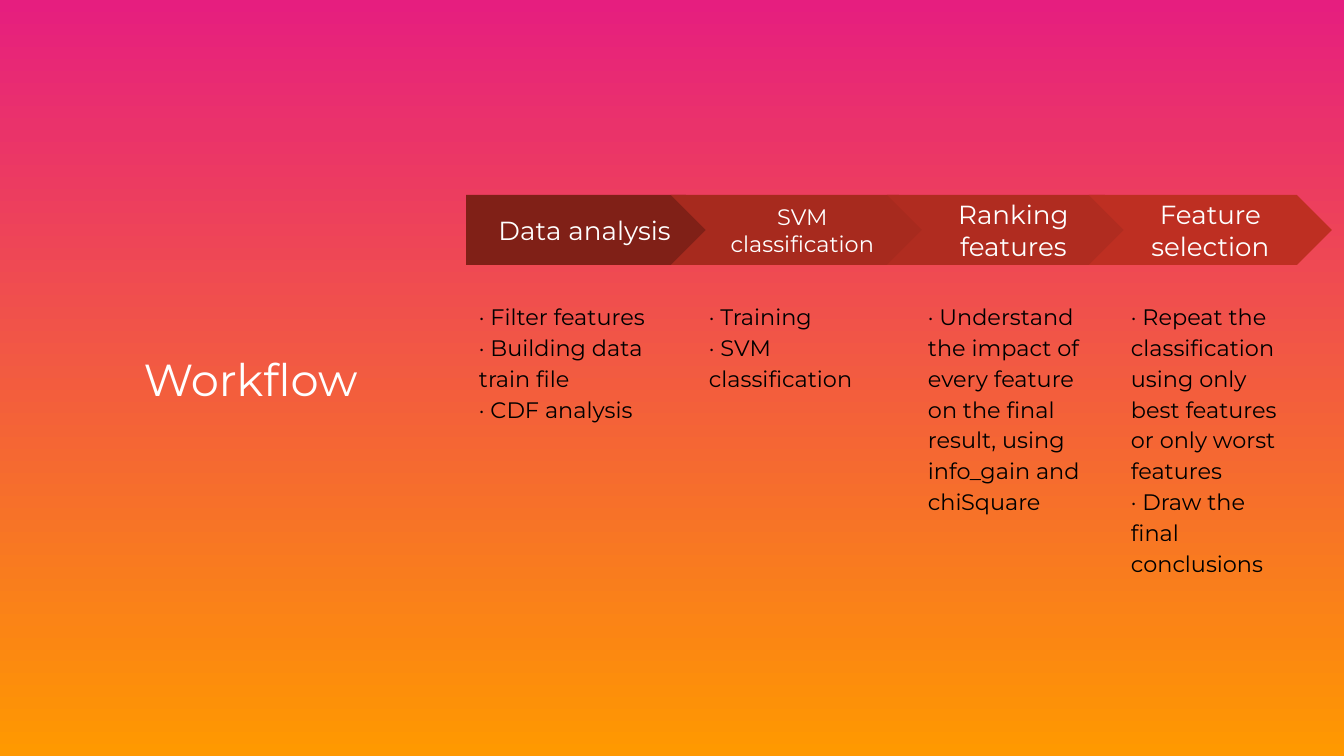
from lxml.etree import SubElement
from pptx import Presentation
from pptx.dml.color import RGBColor
from pptx.enum.shapes import MSO_SHAPE
from pptx.enum.text import MSO_ANCHOR, PP_ALIGN
from pptx.oxml.ns import qn
from pptx.util import Emu, Pt

SCALE = 914400 / 134.4
STEP_TOP, STEP_HEIGHT = 195, 70
NOTES_TOP, NOTES_HEIGHT = 286, 276


def px(length):
    return Emu(round(length * SCALE))


def color(code):
    return RGBColor.from_string(code)


class WorkflowSlide:
    """Draws the workflow elements on one page in a shared style."""

    font = "Montserrat"
    light = "FFFFFF"
    dark = "000000"
    inset = 13

    def __init__(self, deck):
        self.page = deck.slides.add_slide(deck.slide_layouts[6])

    def background(self, top_color, bottom_color):
        fill = self.page.background.fill
        fill.gradient()
        fill.gradient_angle = 270
        for stop, code in zip(fill.gradient_stops, (top_color, bottom_color)):
            stop.color.rgb = color(code)

    def set_text(self, box, text, size, code, align, anchor, inset, spacing=None):
        frame = box.text_frame
        frame.text = text
        frame.word_wrap = True
        frame.vertical_anchor = anchor
        frame.margin_left = frame.margin_right = px(inset)
        frame.margin_top = frame.margin_bottom = px(inset)
        for para in frame.paragraphs:
            para.alignment = align
            para.line_spacing = spacing
            for span in para.runs:
                span.font.size = Pt(size)
                span.font.name = self.font
                span.font.color.rgb = color(code)

    def title(self, text, left, top, width, height):
        box = self.page.shapes.add_textbox(px(left), px(top), px(width), px(height))
        self.set_text(box, text, 24, self.light, PP_ALIGN.CENTER, MSO_ANCHOR.MIDDLE, 0)
        self.text_shadow(box.text_frame.paragraphs[0].runs[0])

    def text_shadow(self, span):
        properties = span.font._element
        effects = SubElement(properties, qn("a:effectLst"))
        properties.find(qn("a:solidFill")).addnext(effects)
        shadow = SubElement(effects, qn("a:outerShdw"), blurRad="38100",
                            dist="19050", dir="5400000")
        shade = SubElement(shadow, qn("a:srgbClr"), val=self.dark)
        SubElement(shade, qn("a:alpha"), val="40000")

    def step(self, kind, text, size, left, width, code):
        arrow = self.page.shapes.add_shape(
            kind, px(left), px(STEP_TOP), px(width), px(STEP_HEIGHT))
        arrow.shadow.inherit = False
        arrow.adjustments[0] = 0.5
        arrow.fill.solid()
        arrow.fill.fore_color.rgb = color(code)
        arrow.line.fill.background()
        self.set_text(arrow, text, size, self.light, PP_ALIGN.CENTER,
                      MSO_ANCHOR.MIDDLE, self.inset)

    def notes(self, items, left, width):
        box = self.page.shapes.add_textbox(
            px(left), px(NOTES_TOP), px(width), px(NOTES_HEIGHT))
        text = "\n".join(f"· {item}" for item in items)
        self.set_text(box, text, 12, self.dark, PP_ALIGN.LEFT, MSO_ANCHOR.TOP,
                      self.inset, 1.15)


STEPS = [
    (MSO_SHAPE.PENTAGON, "Data analysis", 14, 466, 255, "802017", 466, 234,
     ["Filter features", "Building data train file", "CDF analysis"]),
    (MSO_SHAPE.CHEVRON, "SVM classification", 12, 671, 263, "A72A1E", 696, 198,
     ["Training", "SVM classification"]),
    (MSO_SHAPE.CHEVRON, "Ranking features", 14, 887, 253, "B02C20", 915, 190,
     ["Understand the impact of every feature on the final result, "
      "using info_gain and chiSquare"]),
    (MSO_SHAPE.CHEVRON, "Feature selection", 14, 1089, 243, "BE2F22", 1118, 183,
     ["Repeat the classification using only best features or only worst features",
      "Draw the final conclusions"]),
]


def main():
    deck = Presentation()
    deck.slide_width, deck.slide_height = px(1344), px(756)
    slide = WorkflowSlide(deck)
    slide.background("E61E7F", "FF9900")
    slide.title("Workflow", 102, 134, 297, 489)
    for kind, label, size, left, width, code, notes_left, notes_width, items in STEPS:
        slide.step(kind, label, size, left, width, code)
        slide.notes(items, notes_left, notes_width)
    deck.save("out.pptx")


if __name__ == "__main__":
    main()
